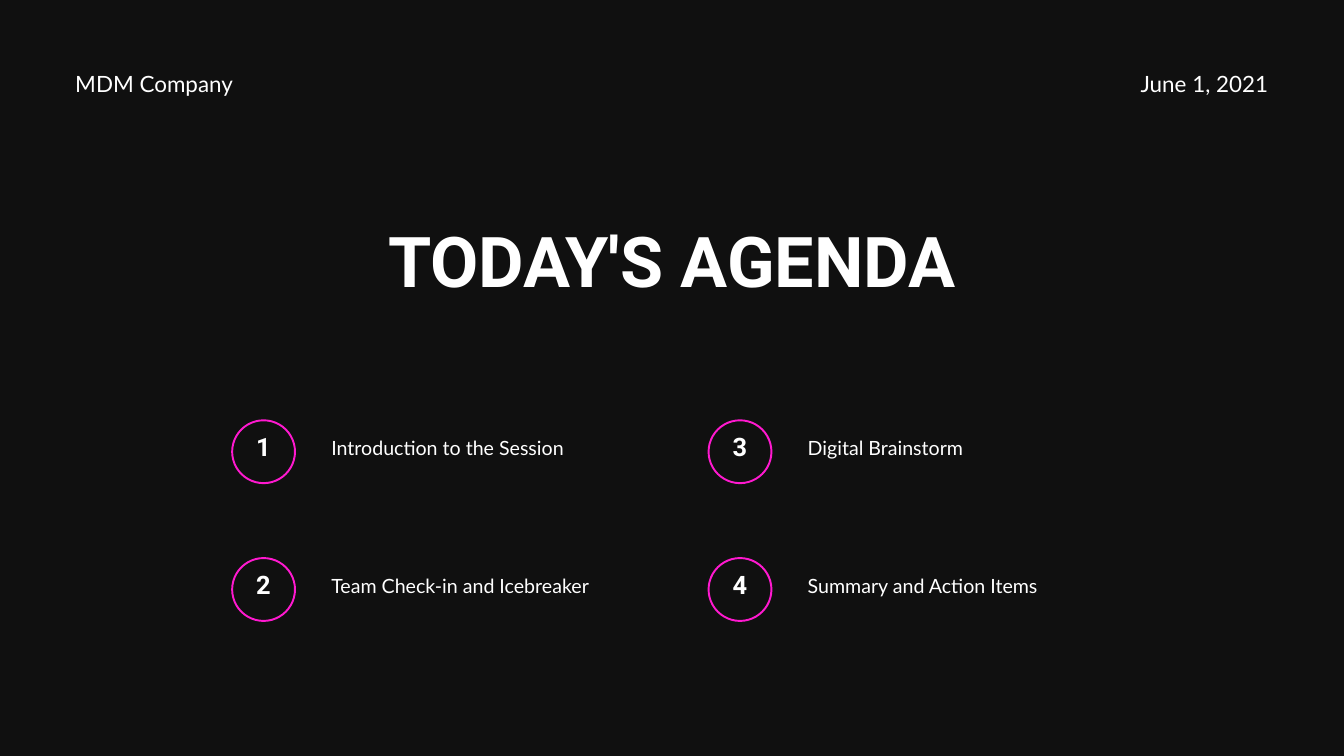
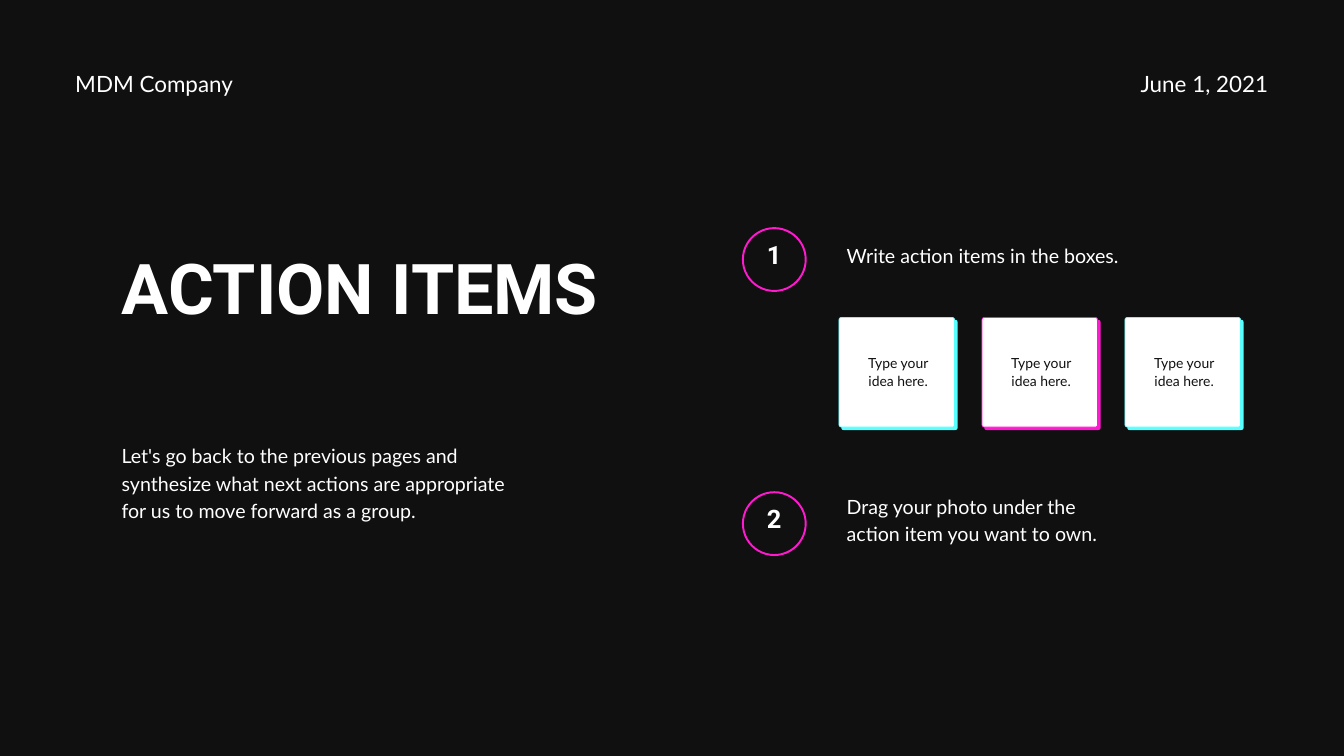
from dataclasses import dataclass
from itertools import product

from pptx import Presentation
from pptx import util as u
from pptx.dml.color import RGBColor
from pptx.enum import shapes, text

COLUMNS, ROWS = 200, 112.5
WIDTH, HEIGHT = u.Inches(20), u.Inches(11.25)


@dataclass(frozen=True)
class Style:
    font: str
    size: float
    leading: float
    color: str
    bold: bool = False


@dataclass(frozen=True)
class Theme:
    background: str = "101010"
    pink: str = "FF19CF"
    cyan: str = "57FFFF"
    white: str = "FFFFFF"
    title: Style = Style("Roboto", 75, 82.5, "FFFFFF", True)
    number: Style = Style("Roboto", 27.2, 26.1, "FFFFFF", True)
    header: Style = Style("Lato", 24, 28.8, "FFFFFF")
    body: Style = Style("Lato", 21, 29.4, "FFFFFF")
    note: Style = Style("Lato", 14.9, 19.4, "101010")


@dataclass(frozen=True)
class Box:
    col: float
    row: float
    cols: float
    rows: float

    def emu(self) -> tuple[int, int, int, int]:
        dx, dy = WIDTH / COLUMNS, HEIGHT / ROWS
        return (round(self.col * dx), round(self.row * dy),
                round(self.cols * dx), round(self.rows * dy))


@dataclass(frozen=True)
class Step:
    number: int
    col: float
    row: float
    label: str
    label_box: Box


THEME = Theme()
LEFT, CENTER, RIGHT = text.PP_ALIGN.LEFT, text.PP_ALIGN.CENTER, text.PP_ALIGN.RIGHT
AGENDA = ("Introduction to the Session", "Team Check-in and Icebreaker",
          "Digital Brainstorm", "Summary and Action Items")


def add_text(parent, box: Box, content: str, style: Style, align=LEFT) -> None:
    tf = parent.add_textbox(*box.emu()).text_frame
    tf.word_wrap = True
    tf.auto_size = text.MSO_AUTO_SIZE.SHAPE_TO_FIT_TEXT
    tf.margin_left = tf.margin_right = tf.margin_top = tf.margin_bottom = 0
    tf.text = content
    for p in tf.paragraphs:
        p.alignment = align
        p.line_spacing = u.Pt(style.leading)
        for r in p.runs:
            r.font.name = style.font
            r.font.size = u.Pt(style.size)
            r.font.bold = style.bold
            r.font.color.rgb = RGBColor.from_string(style.color)


def add_preset(parent, kind, box: Box, fill: str, adjustment: float, line: str = ""):
    sp = parent.add_shape(kind, *box.emu())
    sp.shadow.inherit = False
    sp.adjustments[0] = adjustment
    sp.fill.solid()
    sp.fill.fore_color.rgb = RGBColor.from_string(fill)
    if line:
        sp.line.color.rgb = RGBColor.from_string(line)
        sp.line.width = u.Pt(0.75)
    else:
        sp.line.fill.background()


def add_step(s, step: Step) -> None:
    group = s.shapes.add_group_shape().shapes
    ring = Box(step.col, step.row, 9.64, 9.64)
    add_preset(group, shapes.MSO_SHAPE.DONUT, ring, THEME.pink, 0.03)
    add_text(group, Box(step.col + 3, step.row + 2.7, 3.6, 4.4),
             str(step.number), THEME.number, CENTER)
    add_text(s.shapes, step.label_box, step.label, THEME.body)


def add_card(s, col: float, row: float, accent: str) -> None:
    group = s.shapes.add_group_shape().shapes
    rounded = shapes.MSO_SHAPE.ROUNDED_RECTANGLE
    add_preset(group, rounded, Box(col + 0.4, row + 0.4, 17.3, 16.4), accent, 0.02)
    add_preset(group, rounded, Box(col + 0.05, row + 0.05, 17.2, 16.3),
               THEME.white, 0.02, accent)
    add_text(group, Box(col + 2.6, row + 5.3, 12.5, 5.6),
             "Type your idea here.", THEME.note, CENTER)


def add_slide(prs):
    s = prs.slides.add_slide(prs.slide_layouts[6])
    s.background.fill.solid()
    s.background.fill.fore_color.rgb = RGBColor.from_string(THEME.background)
    add_text(s.shapes, Box(145.7, 10.4, 43, 4.8), "June 1, 2021", THEME.header, RIGHT)
    add_text(s.shapes, Box(11.2, 10.4, 43, 4.8), "MDM Company", THEME.header)
    return s


def build_agenda(prs) -> None:
    s = add_slide(prs)
    add_text(s.shapes, Box(24, 33.4, 152, 12.7), "TODAY'S AGENDA", THEME.title, CENTER)
    places = product((34.4, 105.3), (62.4, 82.9))
    for number, (label, (col, row)) in enumerate(zip(AGENDA, places), 1):
        add_step(s, Step(number, col, row, label, Box(col + 14.9, row + 1.9, 45.8, 4.6)))


def build_actions(prs) -> None:
    s = add_slide(prs)
    add_text(s.shapes, Box(18.1, 37.4, 72.4, 24.1), "ACTION ITEMS", THEME.title)
    add_text(s.shapes, Box(18.1, 65.5, 72.4, 12.5),
             "Let's go back to the previous pages and\n"
             "synthesize what next actions are appropriate\n"
             "for us to move forward as a group.", THEME.body)
    steps = (
        Step(1, 110.4, 33.8, "Write action items in the boxes.",
             Box(126, 35.7, 51.1, 4.6)),
        Step(2, 110.4, 73.1, "Drag your photo under the\naction item you want to own.",
             Box(126, 73, 51.1, 8.7)),
    )
    for step in steps:
        add_step(s, step)
    for i, accent in enumerate((THEME.cyan, THEME.pink, THEME.cyan)):
        add_card(s, 124.8 + 21.28 * i, 47.2, accent)


def main() -> None:
    prs = Presentation()
    prs.slide_width, prs.slide_height = WIDTH, HEIGHT
    build_agenda(prs)
    build_actions(prs)
    prs.save("out.pptx")


if __name__ == "__main__":
    main()
